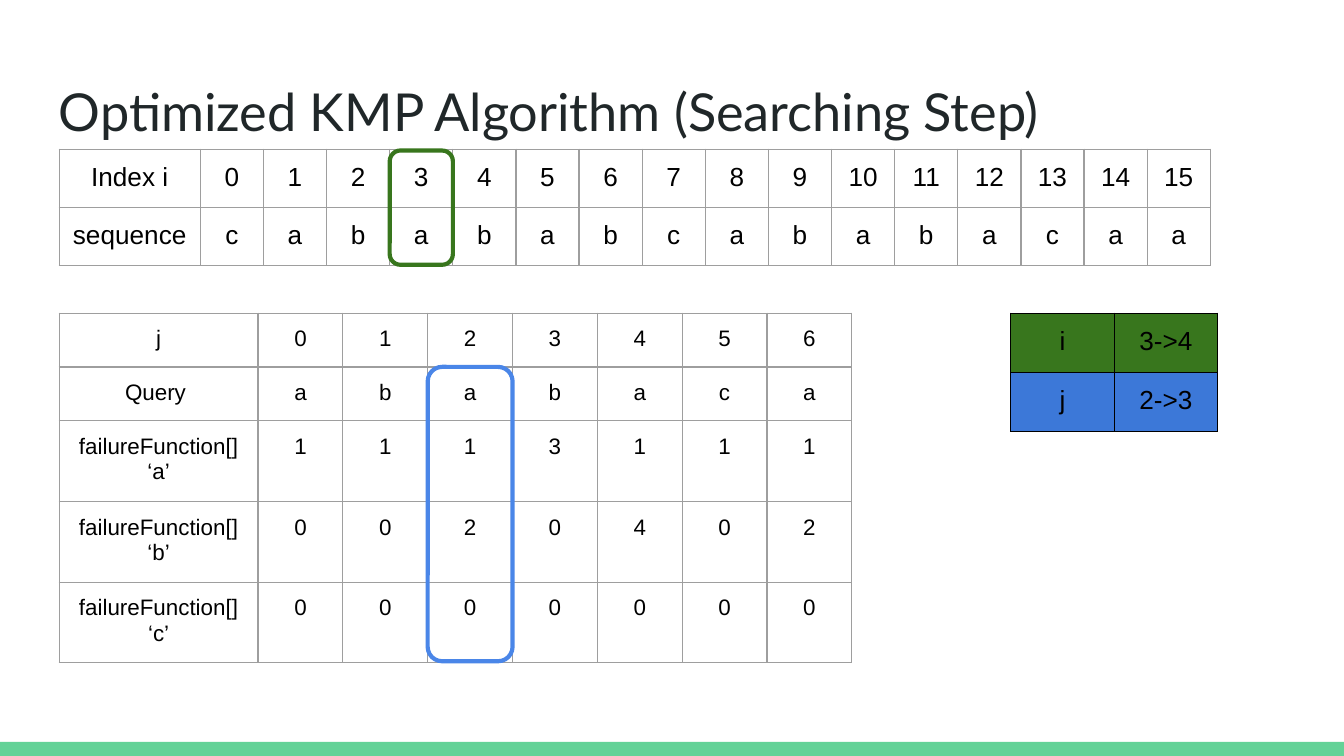
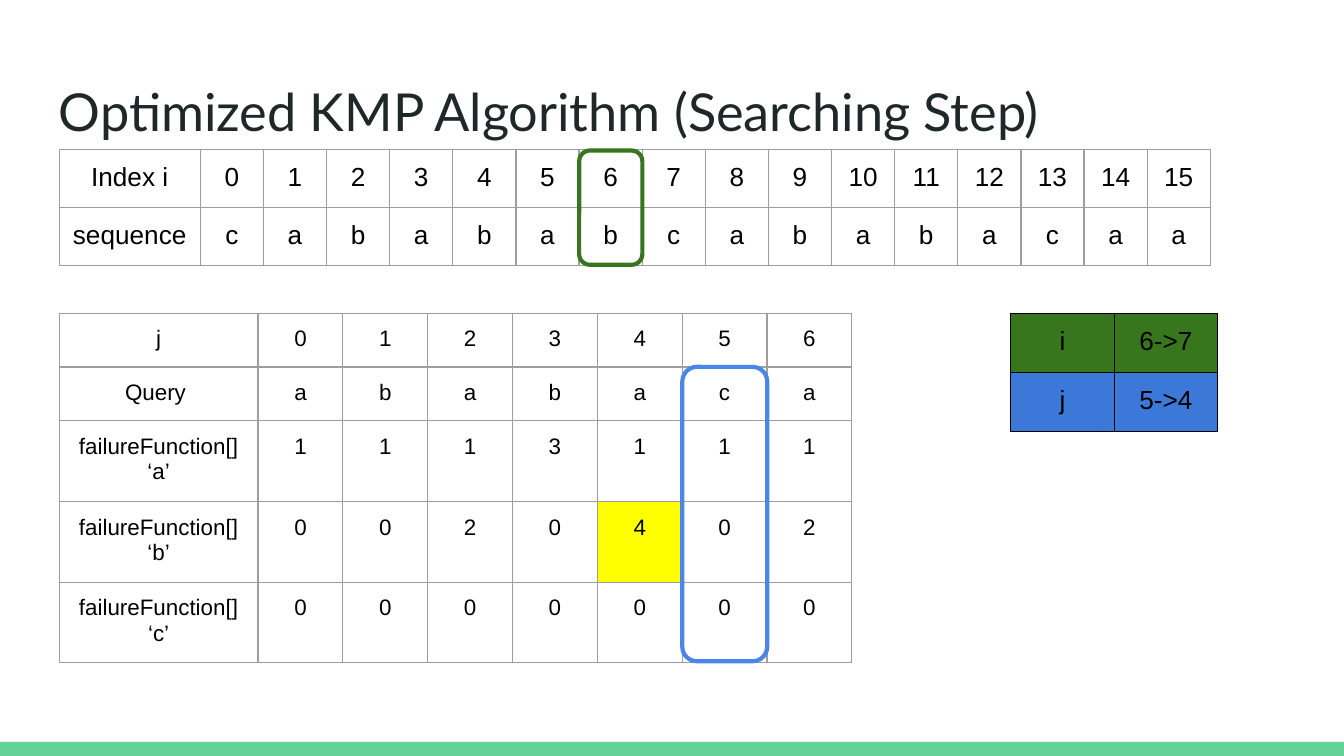
import dataclasses
import lxml.etree
import pptx
import pptx.dml.color
import pptx.enum.shapes
import pptx.enum.text
import pptx.oxml.ns
import pptx.util

Inches = pptx.util.Inches
Pt = pptx.util.Pt
RGB = pptx.dml.color.RGBColor.from_string


@dataclasses.dataclass(frozen=True)
class Theme:
    head: str = "202729"
    text: str = "000000"
    grid: str = "9E9E9E"
    band: str = "63D297"
    green: str = "38761D"
    blue: str = "3C78D8"
    ring: str = "4A86E8"
    mark: str = "FFFF00"
    title: int = 28
    large: int = 14
    small: int = 12
    rule: float = 0.75
    frame: float = 2.25


theme = Theme()


def add_grid(slide, left, top, cols, rows, cells, size, edge, fills):
    """Draw a bordered table; fills maps (row, column) to a colour."""
    frame = slide.shapes.add_table(
        len(rows), len(cols), Inches(left), Inches(top),
        Inches(3.28), Inches(3.28))
    table = frame.table
    table.first_row = table.horz_banding = False
    for col, width in zip(table.columns, cols):
        col.width = Inches(width)
    for r, height in enumerate(rows):
        table.rows[r].height = Inches(height)
        for c, word in enumerate(cells[r]):
            cell = table.cell(r, c)
            cell.margin_left = cell.margin_right = Inches(0.1)
            cell.margin_top = cell.margin_bottom = Inches(0.1)
            cell.text_frame.text = word
            para = cell.text_frame.paragraphs[0]
            para.alignment = pptx.enum.text.PP_ALIGN.CENTER
            font = para.runs[0].font
            font.name, font.size = "Arial", Pt(size)
            font.color.rgb = RGB(theme.text)
            props = cell._tc.get_or_add_tcPr()
            for side in ("a:lnL", "a:lnR", "a:lnT", "a:lnB"):
                line = lxml.etree.SubElement(
                    props, pptx.oxml.ns.qn(side), w=str(Pt(theme.rule)))
                fill = lxml.etree.SubElement(line, pptx.oxml.ns.qn("a:solidFill"))
                lxml.etree.SubElement(fill, pptx.oxml.ns.qn("a:srgbClr"), val=edge)
            if (r, c) in fills:
                cell.fill.solid()
                cell.fill.fore_color.rgb = RGB(fills[r, c])
            else:
                cell.fill.background()
    frame.width = frame.height = Inches(3.28)


def add_ring(slide, left, top, width, height, color):
    ring = slide.shapes.add_shape(
        pptx.enum.shapes.MSO_SHAPE.ROUNDED_RECTANGLE,
        Inches(left), Inches(top), Inches(width), Inches(height))
    ring.shadow.inherit = False
    ring.adjustments[0] = 0.17
    ring.fill.background()
    ring.line.color.rgb = RGB(color)
    ring.line.width = Pt(theme.frame)


# Shared tables and column sizes
left, seq_top, low_top = 0.44, 1.11, 2.33
seq_head, seq_step = 1.05, 0.47
query_head, query_step = 1.48, 4.42 / 7
seq = [["Index i", *map(str, range(16))], ["sequence", *"cabababcababacaa"]]
query = [
    ["j", *"0123456"],
    ["Query ", *"ababaca"],
    ["failureFunction[] ‘a’", *"1113111"],
    ["failureFunction[] ‘b’", *"0020402"],
    ["failureFunction[] ‘c’", *"0000000"],
]

# Each step: i, next i, j, next j, marked query cells
steps = [
    (3, 4, 2, 3, {}),
    (6, 7, 5, 4, {(3, 5): theme.mark}),
]

deck = pptx.Presentation()
deck.slide_width, deck.slide_height = Inches(10), Inches(10 * 9 / 16)

for i, next_i, j, next_j, marks in steps:
    slide = deck.slides.add_slide(deck.slide_layouts[6])

    band = slide.shapes.add_shape(
        pptx.enum.shapes.MSO_SHAPE.RECTANGLE,
        Inches(0), Inches(5.52), Inches(10), Inches(0.11))
    band.shadow.inherit = False
    band.fill.solid()
    band.fill.fore_color.rgb = RGB(theme.band)
    band.line.fill.background()

    title = slide.shapes.add_textbox(
        Inches(0.34), Inches(0.49), Inches(9.32), Inches(0.63))
    frame = title.text_frame
    frame.word_wrap = True
    frame.margin_left = frame.margin_right = Inches(0.1)
    frame.margin_top = frame.margin_bottom = Inches(0.1)
    frame.text = "Optimized KMP Algorithm (Searching Step)"
    font = frame.paragraphs[0].runs[0].font
    font.name, font.size = "Lato", Pt(theme.title)
    font.color.rgb = RGB(theme.head)

    add_grid(slide, left, seq_top, [seq_head] + [seq_step] * 16, [0.42] * 2,
             seq, theme.large, theme.grid, {})

    moves = [["i", f"{i}->{next_i}"], ["j", f"{j}->{next_j}"]]
    fills = {(r, c): color for r, color in enumerate((theme.green, theme.blue))
             for c in range(2)}
    add_grid(slide, 7.52, low_top, [0.77] * 2, [0.44] * 2,
             moves, theme.large, theme.text, fills)

    add_grid(slide, left, low_top, [query_head] + [query_step] * 7,
             [0.31] * 2 + [0.48] * 3, query, theme.small, theme.grid, marks)

    add_ring(slide, left + seq_head + i * seq_step, 1.12,
             seq_step, 0.85, theme.green)
    add_ring(slide, left + query_head + j * query_step, 2.73,
             query_step, 2.19, theme.ring)

deck.save("out.pptx")
